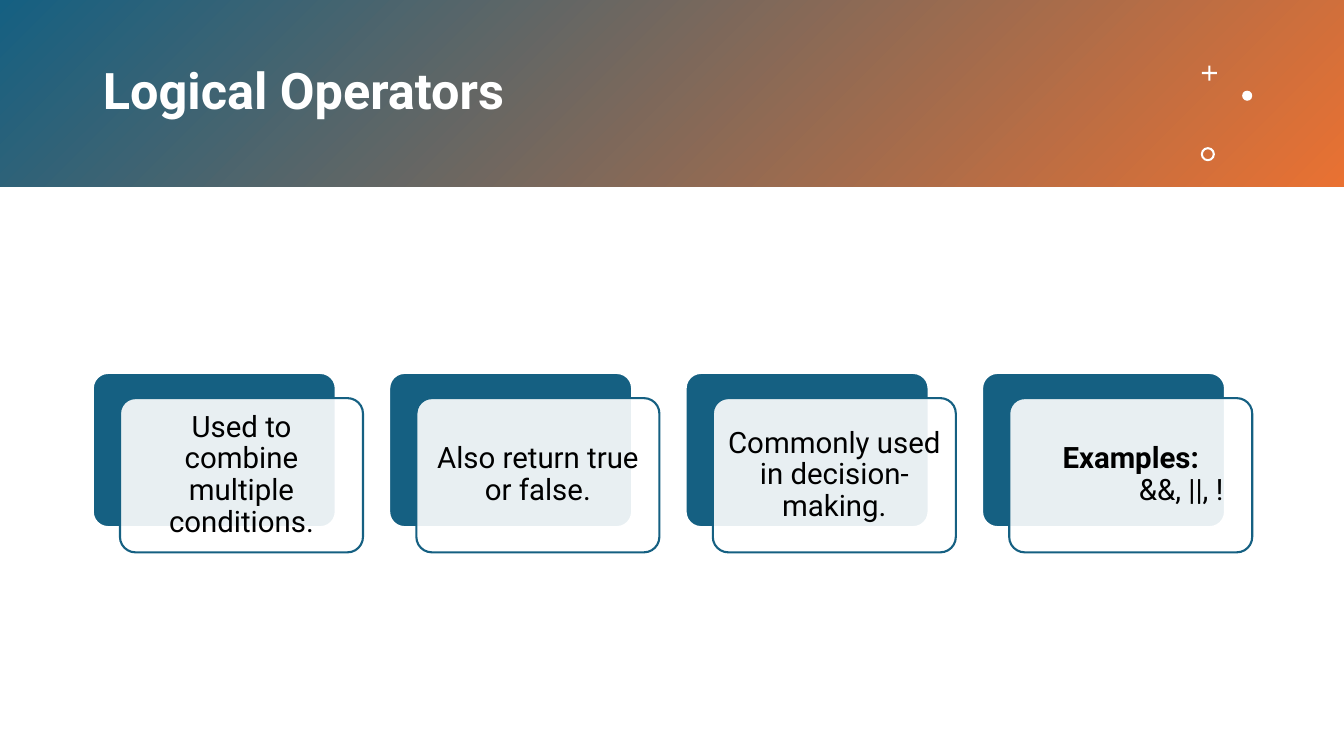
from dataclasses import dataclass

from lxml.etree import SubElement
from pptx import Presentation
from pptx.dml.color import RGBColor
from pptx.enum.shapes import MSO_SHAPE as Preset
from pptx.enum.text import MSO_ANCHOR as Anchor, PP_ALIGN as Align
from pptx.oxml.ns import qn
from pptx.util import Inches, Pt


@dataclass(frozen=True)
class Theme:
    blue: RGBColor = RGBColor(0x15, 0x60, 0x82)
    orange: RGBColor = RGBColor(0xE9, 0x71, 0x32)
    white: RGBColor = RGBColor(0xFF, 0xFF, 0xFF)
    black: RGBColor = RGBColor(0, 0, 0)
    font: str = "Roboto"
    title_size: int = 36
    card_size: int = 21
    outline: float = 1.5


theme = Theme()
prs = Presentation()
prs.slide_width, prs.slide_height = Inches(13.33), Inches(7.5)
slide = prs.slides.add_slide(prs.slide_layouts[5])


def add_preset(preset, left, top, width, height, fill, line=None, adjust=None):
    """Add a shadowless preset shape; without a line colour it has no outline."""
    shape = slide.shapes.add_shape(
        preset, Inches(left), Inches(top), Inches(width), Inches(height))
    shape.shadow.inherit = False
    shape.fill.solid()
    shape.fill.fore_color.rgb = fill
    if line is None:
        shape.line.fill.background()
    else:
        shape.line.color.rgb = line
        shape.line.width = Pt(theme.outline)
    if adjust is not None:
        shape.adjustments[0] = adjust
    return shape


def style_text(paragraph, size, color, bold, align):
    paragraph.alignment = align
    paragraph.line_spacing = 0.9
    paragraph.space_before = paragraph.space_after = Pt(0)
    for run in paragraph.runs:
        run.font.name = theme.font
        run.font.size = Pt(size)
        run.font.bold = bold
        run.font.color.rgb = color


# Header band, placed behind the title
band = add_preset(Preset.RECTANGLE, 0, 0, 13.33, 1.85, theme.blue)
band.fill.gradient()
band.fill.gradient_angle = 315
for stop, color in zip(band.fill.gradient_stops, (theme.blue, theme.orange)):
    stop.color.rgb = color
slide.shapes.title.element.addprevious(band.element)

title = slide.shapes.title
title.left, title.top = Inches(0.92), Inches(0.33)
title.width, title.height = Inches(10.75), Inches(1.19)
title.text_frame.text = "Logical Operators"
title.text_frame.vertical_anchor = Anchor.MIDDLE
style_text(title.text_frame.paragraphs[0], theme.title_size, theme.white, True, Align.LEFT)

# Header ornaments: plus, dot and ring
add_preset(Preset.CROSS, 11.92, 0.65, 0.15, 0.15, theme.white, adjust=0.43)
add_preset(Preset.OVAL, 12.32, 0.9, 0.1, 0.1, theme.white)
add_preset(Preset.DONUT, 11.91, 1.46, 0.14, 0.14, theme.white, adjust=0.15)

# Cards: each a list of (text, bold, left indent)
cards = [
    [("Used to combine multiple conditions.", False, 0)],
    [("Also return true or false.", False, 0)],
    [("Commonly used in decision-making.", False, 0)],
    [("Examples:", True, 0), ("&&, ||, !", False, 1)],
]
card_left, card_top, card_pitch = 0.92, 3.7, 2.94
card_width, card_height = 2.41, 1.53
offset_x, offset_y = 0.27, 0.25

for index, lines in enumerate(cards):
    left = card_left + index * card_pitch
    add_preset(Preset.ROUNDED_RECTANGLE, left, card_top, card_width, card_height,
               theme.blue, theme.white, 0.1)
    card = add_preset(Preset.ROUNDED_RECTANGLE, left + offset_x, card_top + offset_y,
                      card_width, card_height, theme.white, theme.blue, 0.1)
    fill_color = card.element.spPr.find(qn("a:solidFill")).find(qn("a:srgbClr"))
    SubElement(fill_color, qn("a:alpha"), val="90000")

    frame = card.text_frame
    frame.word_wrap = True
    frame.vertical_anchor = Anchor.MIDDLE
    frame.margin_left = frame.margin_right = Inches(0.09)
    frame.margin_top = frame.margin_bottom = Inches(0.09)
    frame.text = "\n".join(text for text, bold, indent in lines)
    for paragraph, (text, bold, indent) in zip(frame.paragraphs, lines):
        style_text(paragraph, theme.card_size, theme.black, bold, Align.CENTER)
        if indent:
            paragraph._p.get_or_add_pPr().set("marL", str(Inches(indent)))

prs.save("out.pptx")
